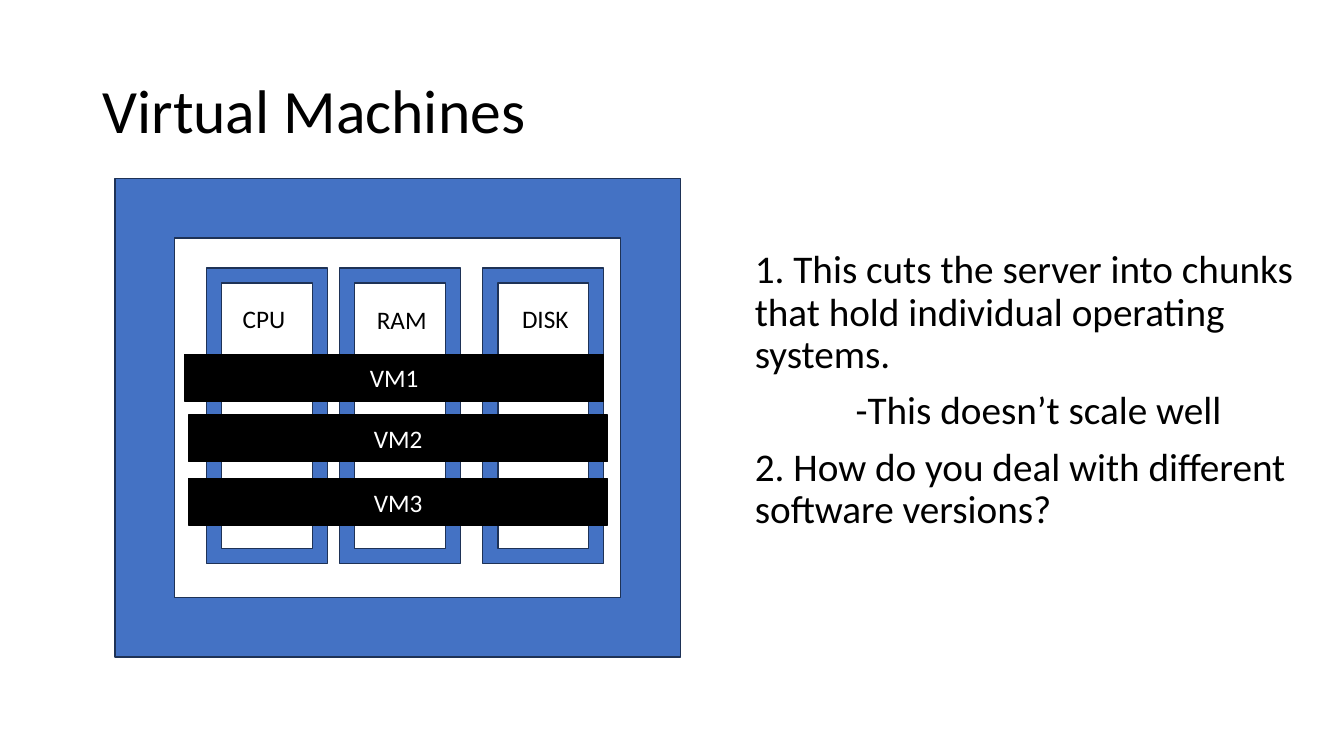
from dataclasses import dataclass

from pptx import Presentation
from pptx.dml.color import RGBColor as Rgb
from pptx.enum.shapes import MSO_SHAPE as Kind
from pptx.enum.text import MSO_ANCHOR as Anchor, PP_ALIGN as Align
from pptx.shapes.autoshape import Shape
from pptx.slide import Slide
from pptx.util import Pt


@dataclass(frozen=True)
class Theme:
    font: str = "Calibri"
    ink: Rgb = Rgb(0, 0, 0)
    paper: Rgb = Rgb(255, 255, 255)
    blue: Rgb = Rgb(0x44, 0x72, 0xC4)
    navy: Rgb = Rgb(0x1E, 0x32, 0x56)
    head: int = 44
    body: int = 28
    label: int = 18


@dataclass(frozen=True)
class Box:
    left: float
    top: float
    width: float
    height: float

    def place(self) -> tuple[Pt, Pt, Pt, Pt]:
        return Pt(self.left), Pt(self.top), Pt(self.width), Pt(self.height)


@dataclass(frozen=True)
class Part:
    """A hardware part: its frame's left edge and the box of its label."""
    name: str
    left: float
    label: Box


@dataclass(frozen=True)
class Bar:
    name: str
    left: float
    top: float


@dataclass(frozen=True)
class Line:
    text: str
    indent: float = 0


THEME = Theme()
TITLE = Box(66.2, 28.8, 828, 104.4)
NOTES = Box(532.1, 144, 403.9, 353.5)
SERVER = Box(82.1, 127.4, 403.9, 342)
PARTS = [
    Part("CPU", 147.6, Box(166.3, 213.1, 45.4, 28.8)),
    Part("RAM", 242.6, Box(262.1, 213.8, 50.4, 28.8)),
    Part("DISK", 344.9, Box(365.8, 213.1, 48.2, 28.8)),
]
BARS = [Bar("VM1", 131.8, 253.4), Bar("VM2", 134.6, 296.6), Bar("VM3", 134.6, 342)]
LINES = [
    Line("1. This cuts the server into chunks that hold individual operating systems."),
    Line("-This doesn’t scale well", 72),
    Line("2. How do you deal with different software versions?"),
]
TIGHT = {"line_spacing": 0.9, "space_before": Pt(10)}


def apply(target: object, values: dict) -> None:
    for name, value in values.items():
        setattr(target, name, value)


def write(shape: Shape, lines: list[Line], size: int, color: Rgb,
          frame: dict, para: dict) -> None:
    """Fill a shape with lines, using frame and paragraph formats."""
    text = shape.text_frame
    apply(text, frame)
    for i, line in enumerate(lines):
        p = text.paragraphs[0] if i == 0 else text.add_paragraph()
        apply(p, para)
        if line.indent:
            p._p.get_or_add_pPr().set("indent", str(Pt(line.indent)))
        run = p.add_run()
        run.text = line.text
        apply(run.font, {"name": THEME.font, "size": Pt(size)})
        run.font.color.rgb = color


def draw(slide: Slide, kind: Kind, box: Box, fill: Rgb, edge: Rgb) -> Shape:
    shape = slide.shapes.add_shape(kind, *box.place())
    shape.shadow.inherit = False
    shape.fill.solid()
    shape.fill.fore_color.rgb = fill
    shape.line.color.rgb = edge
    shape.line.width = Pt(1)
    return shape


def note(slide: Slide, box: Box, lines: list[Line], size: int,
         frame: dict, para: dict) -> None:
    shape = slide.shapes.add_textbox(*box.place())
    write(shape, lines, size, THEME.ink, frame, para)


def main() -> None:
    deck = Presentation()
    apply(deck, {"slide_width": Pt(960), "slide_height": Pt(540)})
    slide = deck.slides.add_slide(deck.slide_layouts[6])
    middle = {"word_wrap": True, "vertical_anchor": Anchor.MIDDLE}

    note(slide, TITLE, [Line("Virtual Machines")], THEME.head, middle,
         {"line_spacing": 0.9})

    frames = [SERVER] + [Box(part.left, 191.5, 86.4, 211) for part in PARTS]
    for box in frames:
        draw(slide, Kind.FRAME, box, THEME.blue, THEME.navy)
    for part in PARTS:
        note(slide, part.label, [Line(part.name)], THEME.label,
             {"word_wrap": False}, {})
    for bar in BARS:
        box = Box(bar.left, bar.top, 299.5, 33.1)
        shape = draw(slide, Kind.RECTANGLE, box, THEME.ink, THEME.ink)
        write(shape, [Line(bar.name)], THEME.label, THEME.paper, middle,
              {"alignment": Align.CENTER})

    note(slide, NOTES, LINES, THEME.body,
         {"word_wrap": True, "margin_top": Pt(34.4)}, TIGHT)
    deck.save("out.pptx")


if __name__ == "__main__":
    main()
